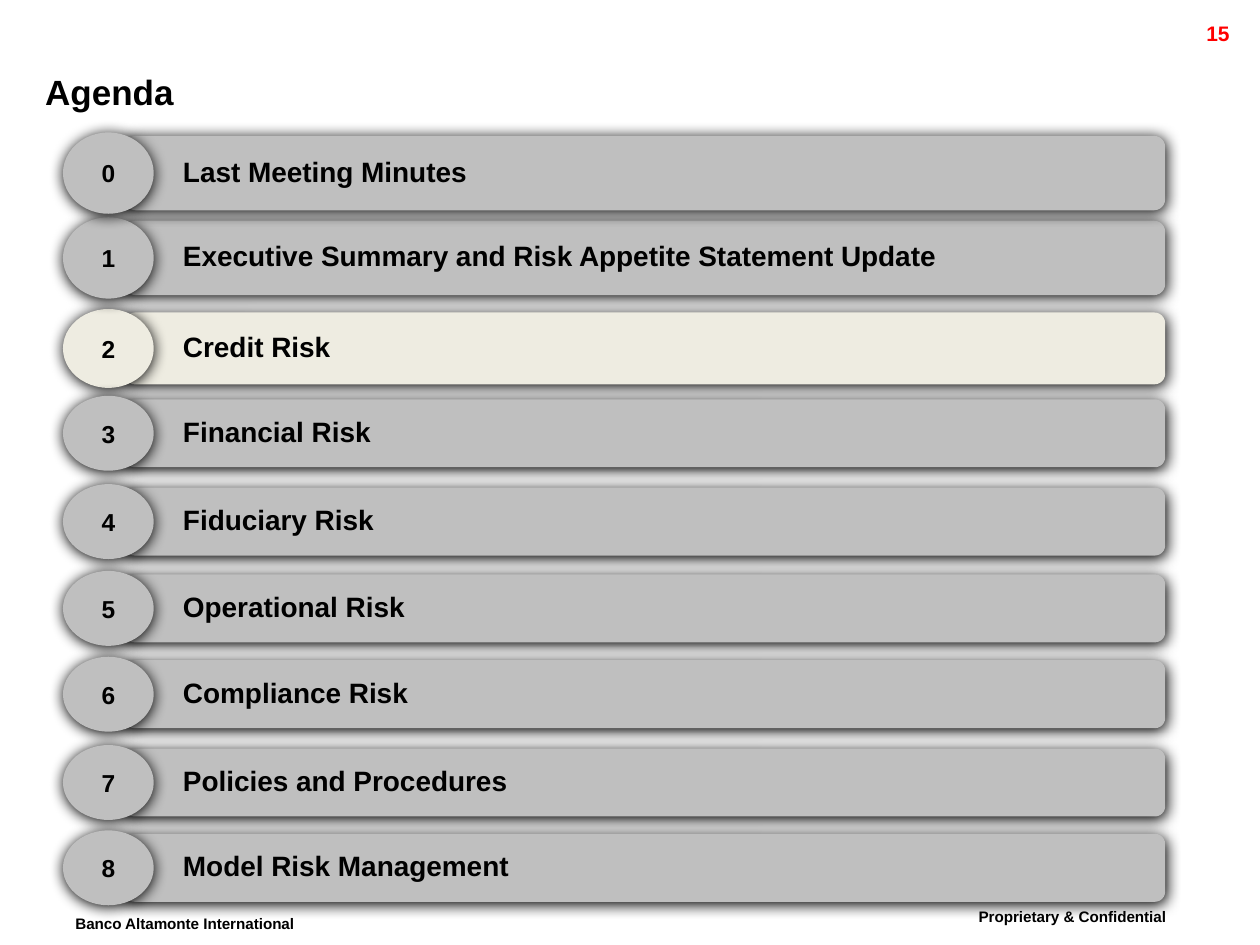
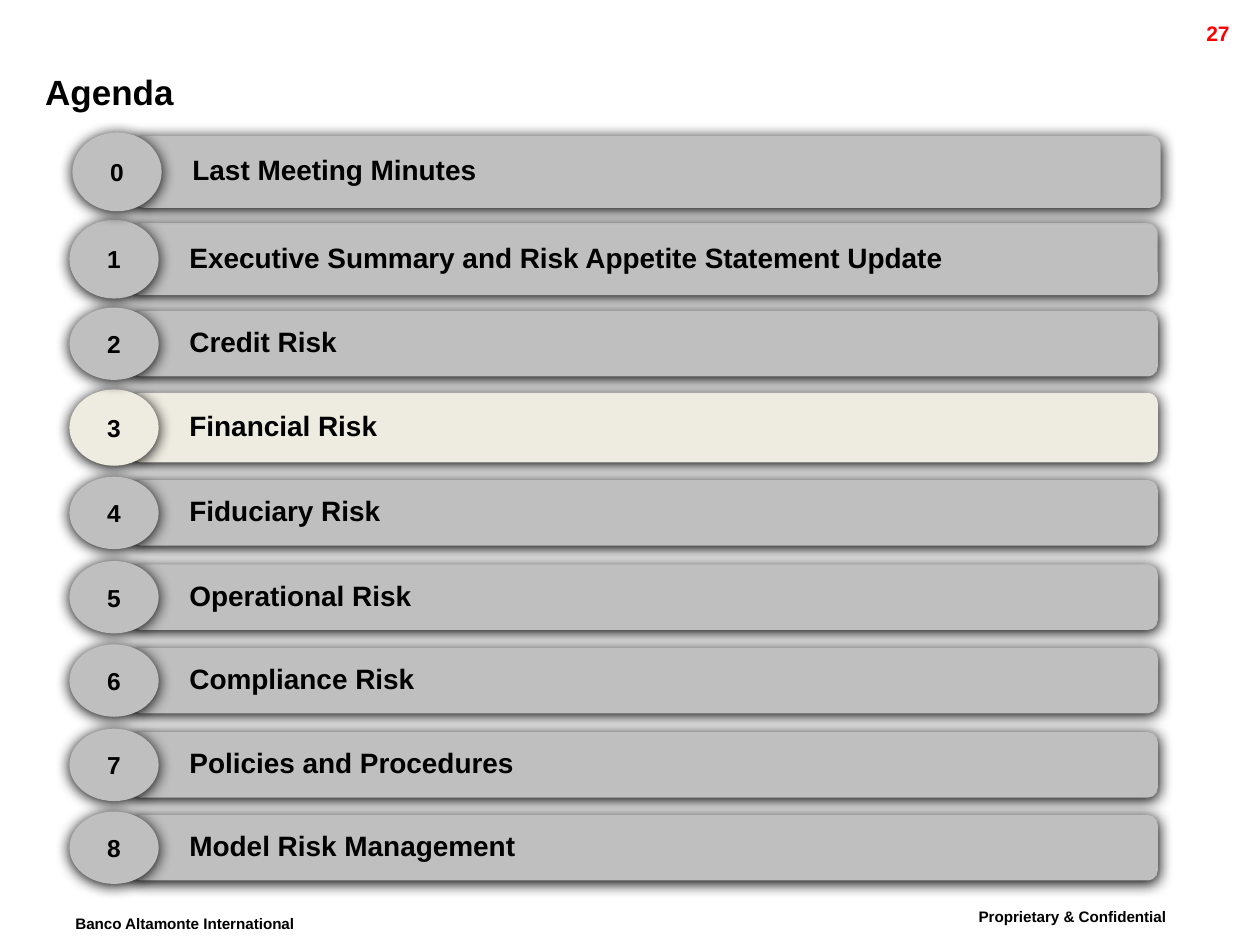
from dataclasses import dataclass

from lxml.etree import SubElement
from pptx import Presentation
from pptx.dml.color import RGBColor
from pptx.enum.shapes import MSO_SHAPE as Preset
from pptx.enum.text import MSO_ANCHOR as Anchor, MSO_AUTO_SIZE as AutoSize, PP_ALIGN as Align
from pptx.oxml.ns import qn
from pptx.util import Cm, Pt


# Colours and type sizes
@dataclass(frozen=True)
class Theme:
    font: str = "Arial"
    ink: RGBColor = RGBColor(0x00, 0x00, 0x00)
    page_red: RGBColor = RGBColor(0xFF, 0x00, 0x00)
    idle: RGBColor = RGBColor(0xBF, 0xBF, 0xBF)
    current: RGBColor = RGBColor(0xEE, 0xEC, 0xE1)
    title_size: int = 20
    topic_size: int = 16
    footer_size: int = 15
    numeral_size: int = 14
    page_size: int = 12


THEME = Theme()

TOPICS = [
    "Last Meeting Minutes",
    "Executive Summary and Risk Appetite Statement Update",
    "Credit Risk",
    "Financial Risk",
    "Fiduciary Risk",
    "Operational Risk",
    "Compliance Risk",
    "Policies and Procedures",
    "Model Risk Management",
]


# Row geometry of one agenda slide, in centimetres
@dataclass(frozen=True)
class Agenda:
    page: int
    current: int
    badge_left: float
    badge_width: float
    bar_width: float
    first_shift: float
    tops: tuple
    heights: tuple


AGENDAS = [
    Agenda(page=15, current=2, badge_left=1.27, badge_width=1.83, bar_width=20.98, first_shift=0,
           tops=(2.74, 4.45, 6.3, 8.05, 9.83, 11.58, 13.31, 15.09, 16.81),
           heights=(1.5, 1.5, 1.45) + (1.37,) * 6),
    Agenda(page=27, current=3, badge_left=1.4, badge_width=1.8, bar_width=20.7, first_shift=0.06,
           tops=(2.74, 4.5, 6.27, 7.92, 9.68, 11.38, 13.06, 14.76, 16.43),
           heights=(1.45, 1.45, 1.32, 1.4) + (1.32,) * 5),
]

BAR_OFFSET = 1.24      # badge left to bar left
TOPIC_OFFSET = 0.93    # bar left to topic left
BADGE_OVERHANG = 0.07  # badge beyond the bar, above and below
NUMERAL_HEIGHT = 0.81


def set_text(frame, text, size, color=THEME.ink, align=Align.LEFT):
    frame.text = text
    line = frame.paragraphs[0]
    line.alignment = align
    run = line.runs[0]
    run.font.name = THEME.font
    run.font.size = Pt(size)
    run.font.bold = True
    run.font.color.rgb = color
    return run


def add_text(shapes, box, text, size, color=THEME.ink, align=Align.LEFT,
             anchor=Anchor.TOP, grow=False, wrap=True):
    frame = shapes.add_textbox(*map(Cm, box)).text_frame
    frame.word_wrap = wrap
    frame.vertical_anchor = anchor
    frame.auto_size = AutoSize.SHAPE_TO_FIT_TEXT if grow else AutoSize.NONE
    return set_text(frame, text, size, color, align)


def add_shadowed(shapes, preset, box, color):
    shape = shapes.add_shape(preset, *map(Cm, box))
    shape.fill.solid()
    shape.fill.fore_color.rgb = color
    shape.line.fill.background()
    # Soft black shadow, straight down
    shape.shadow.inherit = False
    effects = shape.element.spPr.find(qn("a:effectLst"))
    shadow = SubElement(effects, qn("a:outerShdw"), blurRad=str(Pt(8.5)), dist=str(Pt(1)),
                        dir="5400000", algn="ctr", rotWithShape="0")
    SubElement(shadow, qn("a:srgbClr"), val="000000")
    return shape


def add_title(slide, text):
    title = slide.shapes.title
    title.left, title.top, title.width, title.height = map(Cm, (0.91, 1.24, 22.91, 1.22))
    frame = title.text_frame
    frame.margin_left = frame.margin_right = frame.margin_top = frame.margin_bottom = 0
    frame.vertical_anchor = Anchor.MIDDLE
    set_text(frame, text, THEME.title_size)


def add_page_furniture(slide, page):
    footers = [
        ("Proprietary & Confidential", (19.48, 18.11, 5.54, 0.89), True),
        ("Banco Altamonte International", (1.27, 18.24, 5.66, 0.89), False),
    ]
    for text, box, wrap in footers:
        run = add_text(slide.shapes, box, text, THEME.footer_size, grow=True, wrap=wrap)
        run.font._element.set("baseline", "30000")
    add_text(slide.shapes, (22.63, 0.28, 2.41, 0.61), str(page), THEME.page_size,
             THEME.page_red, Align.RIGHT)


def add_agenda_row(slide, agenda, number):
    row = slide.shapes.add_group_shape().shapes
    color = THEME.current if number == agenda.current else THEME.idle
    top, height = agenda.tops[number], agenda.heights[number]
    badge_left = agenda.badge_left + (agenda.first_shift if number == 0 else 0)
    bar_left = badge_left + BAR_OFFSET

    # Bar with its topic
    bar = add_shadowed(row, Preset.ROUNDED_RECTANGLE,
                       (bar_left, top, agenda.bar_width, height), color)
    bar.adjustments[0] = 0.15
    add_text(row, (bar_left + TOPIC_OFFSET, top + 0.03, agenda.bar_width - 0.15, height - 0.15),
             TOPICS[number], THEME.topic_size, anchor=Anchor.MIDDLE)

    # Badge with its numeral, centred on each other
    add_shadowed(row, Preset.OVAL,
                 (badge_left, top - BADGE_OVERHANG, agenda.badge_width,
                  height + 2 * BADGE_OVERHANG), color)
    numeral_width = 1.02 if height >= 1.4 else 1.4
    add_text(row, (badge_left + (agenda.badge_width - numeral_width) / 2,
                   top + (height - NUMERAL_HEIGHT) / 2, numeral_width, NUMERAL_HEIGHT),
             str(number), THEME.numeral_size, align=Align.CENTER,
             anchor=Anchor.MIDDLE, grow=True)


def add_agenda_slide(deck, agenda):
    slide = deck.slides.add_slide(deck.slide_layouts.get_by_name("Title Only"))
    add_page_furniture(slide, agenda.page)
    add_title(slide, "Agenda")
    # The current topic lies at the back, the first one in front
    others = [number for number in range(1, len(TOPICS)) if number != agenda.current]
    for number in [agenda.current, *others, 0]:
        add_agenda_row(slide, agenda, number)


def main():
    deck = Presentation()
    deck.slide_width, deck.slide_height = Cm(25.4), Cm(19.05)
    for agenda in AGENDAS:
        add_agenda_slide(deck, agenda)
    deck.save("out.pptx")


if __name__ == "__main__":
    main()
